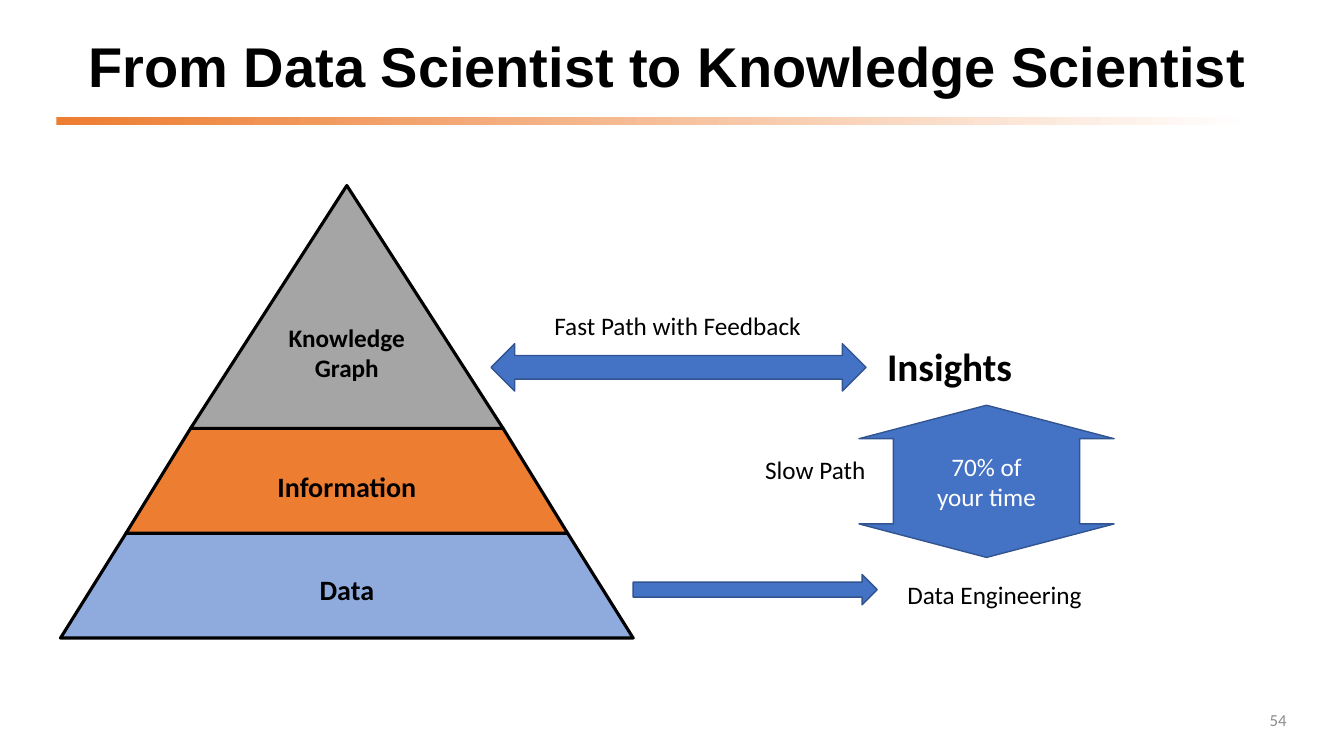
from lxml import etree
from pptx import Presentation
from pptx.dml import color
from pptx.enum import shapes, text
from pptx.oxml import ns
from pptx.util import Inches, Pt

KIND = shapes.MSO_SHAPE
ALIGN = text.PP_ALIGN
BLUE, EDGE = "4472C4", "325491"


def rgb(code):
    """Turn a hex string into a colour."""
    return color.RGBColor.from_string(code)


def write(shape, words, size, code="000000", bold=False, align=ALIGN.CENTER, font="Calibri"):
    """Fill a shape with formatted text, one paragraph per line."""
    frame = shape.text_frame
    frame.text = words
    for par in frame.paragraphs:
        par.alignment = align
        for run in par.runs:
            run.font.name = font
            run.font.size = Pt(size)
            run.font.bold = bold
            run.font.color.rgb = rgb(code)
    return frame


def label(slide, box, words, size, wrap=False, **style):
    """Place a text box."""
    shape = slide.shapes.add_textbox(*map(Inches, box))
    style.setdefault("align", ALIGN.LEFT)
    frame = write(shape, words, size, **style)
    frame.word_wrap = wrap
    return frame


def block(slide, kind, box, fill, edge=EDGE, width=1):
    """Place a filled and outlined shape."""
    shape = slide.shapes.add_shape(kind, *map(Inches, box))
    shape.shadow.inherit = False
    shape.fill.solid()
    shape.fill.fore_color.rgb = rgb(fill)
    shape.line.color.rgb = rgb(edge)
    shape.line.width = Pt(width)
    return shape


def adjust(shape, **guides):
    """Set the shape's guides by name, as fractions."""
    guide_list = shape.element.find(".//" + ns.qn("a:avLst"))
    for old in list(guide_list):
        guide_list.remove(old)
    for name, value in guides.items():
        etree.SubElement(guide_list, ns.qn("a:gd"), name=name,
                         fmla=f"val {round(value * 100000)}")


def header(slide, left, top, width):
    """Draw the title above its fading rule."""
    frame = label(slide, (left + 0.22, top, width - 0.06, 0.78),
                  "From Data Scientist to Knowledge Scientist", 40,
                  wrap=True, bold=True, font="Arial")
    frame.vertical_anchor = text.MSO_ANCHOR.MIDDLE
    frame.paragraphs[0].line_spacing = 0.9
    rule = slide.shapes.add_shape(
        KIND.RECTANGLE, *map(Inches, (left, top + 0.86, width, 0.08)))
    rule.shadow.inherit = False
    rule.line.fill.background()
    rule.fill.gradient()
    rule.fill.gradient_angle = 0
    for stop, code, pos in zip(rule.fill.gradient_stops, ("ED7D31", "FFFFFF"), (0, 1)):
        stop.color.rgb = rgb(code)
        stop.position = pos


def pyramid(slide, mid, base):
    """Stack the tiers upwards from the base, centred on mid."""
    tiers = [
        ("Data", 5.68, 1.04, "8FAADC", 20),
        ("Information", 4.38, 1.04, "ED7D31", 20),
        ("Knowledge\nGraph", 3.1, 2.41, "A5A5A5", 18),
    ]
    for i, (words, width, height, fill, size) in enumerate(tiers):
        base -= height
        peak = i == len(tiers) - 1
        kind = KIND.ISOSCELES_TRIANGLE if peak else KIND.TRAPEZOID
        shape = block(slide, kind, (mid - width / 2, base, width, height),
                      fill, "000000", 2.25)
        if not peak:
            adjust(shape, adj=(width - tiers[i + 1][1]) / 2 / height)
        frame = write(shape, words, size, bold=True)
        frame.vertical_anchor = text.MSO_ANCHOR.MIDDLE
        frame.margin_left = frame.margin_right = Inches(0 if peak else 0.07)
        frame.margin_top = Inches(0.03)
        frame.margin_bottom = Inches(0.33 if peak else 0.03)


def paths(slide, left, top):
    """Draw the fast and slow paths to the insights."""
    block(slide, KIND.LEFT_RIGHT_ARROW, (left, top + 0.38, 3.72, 0.47), BLUE)
    block(slide, KIND.RIGHT_ARROW, (left + 1.41, top + 2.67, 2.42, 0.3), BLUE)
    effort = block(slide, KIND.UP_DOWN_ARROW, (left + 3.65, top + 0.99, 2.53, 1.51), BLUE)
    adjust(effort, adj1=0.73, adj2=0.22)
    frame = write(effort, "70% of\nyour time", 18, "FFFFFF")
    frame.vertical_anchor = text.MSO_ANCHOR.MIDDLE
    label(slide, (left + 0.53, top, 2.67, 0.4), "Fast Path with Feedback", 18)
    label(slide, (left + 2.62, top + 1.43, 1.21, 0.4), "Slow Path", 18)
    label(slide, (left + 4.03, top + 2.67, 1.95, 0.4), "Data Engineering", 18)
    label(slide, (left + 3.83, top + 0.32, 1.46, 0.57), "Insights", 28, bold=True)


def footer(slide, left, top):
    """Place the slide number."""
    frame = label(slide, (left, top, 0.5, 0.4), "54", 12, wrap=True,
                  code="8C8C8C", align=ALIGN.RIGHT)
    frame.vertical_anchor = text.MSO_ANCHOR.MIDDLE


def main():
    """Build and save the slide."""
    deck = Presentation()
    deck.slide_width, deck.slide_height = Inches(13.33), Inches(7.5)
    slide = deck.slides.add_slide(deck.slide_layouts[6])
    header(slide, 0.56, 0.3, 11.86)
    pyramid(slide, 3.44, 6.33)
    paths(slide, 4.87, 3.03)
    footer(slide, 12.36, 6.94)
    deck.save("out.pptx")


if __name__ == "__main__":
    main()
